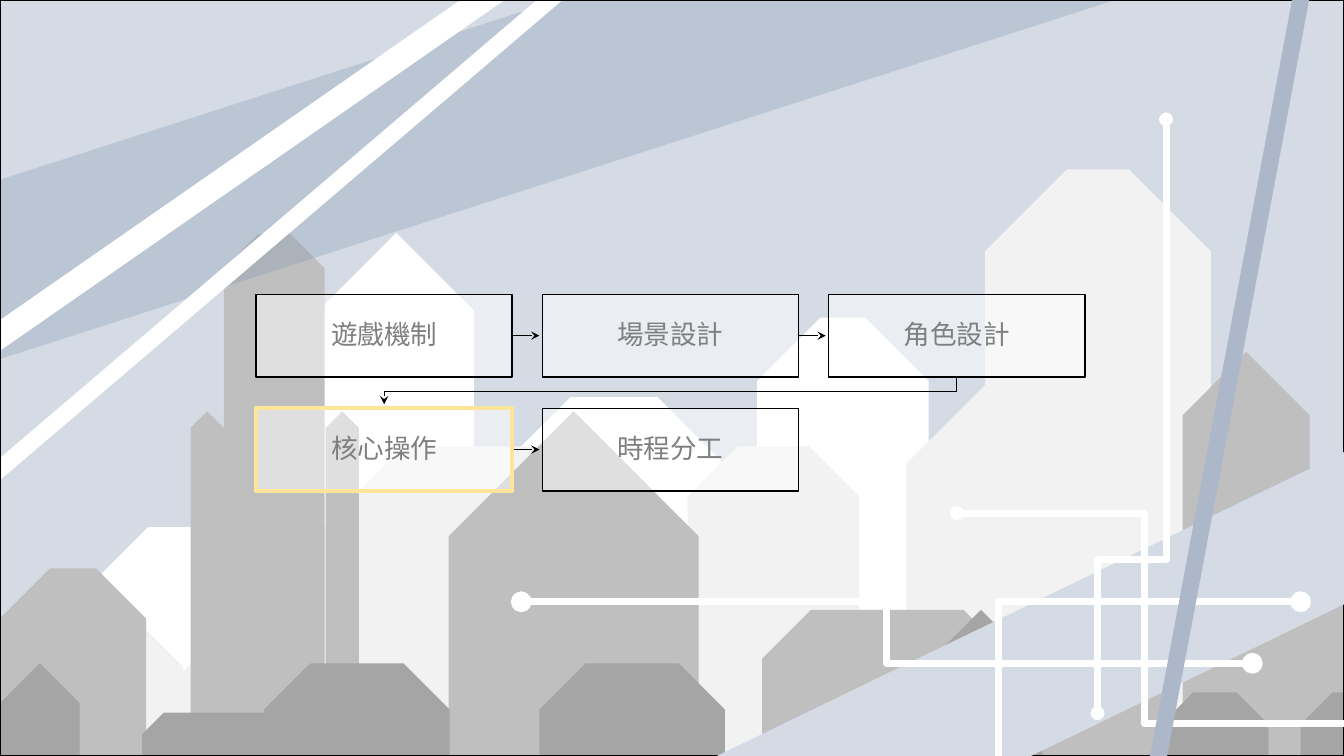
from pptx import Presentation
from pptx.dml.color import RGBColor
from pptx.enum.shapes import MSO_CONNECTOR as LINK, MSO_SHAPE as KIND
from pptx.enum.text import MSO_ANCHOR, PP_ALIGN
from pptx.oxml.ns import qn
from pptx.util import Pt
from lxml.etree import SubElement

PX = 9144
WIDE, HIGH = 1333, 750
FONT = "Noto Sans CJK TC"

WHITE = RGBColor(0xFF, 0xFF, 0xFF)
BLACK = RGBColor(0, 0, 0)
SKY = RGBColor(0xD5, 0xDB, 0xE5)
BAND = RGBColor(0x82, 0x96, 0xB0)
STEEL = RGBColor(0xAC, 0xB8, 0xCA)
PALE = RGBColor(0xF2, 0xF2, 0xF2)
SILVER = RGBColor(0xBF, 0xBF, 0xBF)
GRAY = RGBColor(0xA5, 0xA5, 0xA5)
INK = RGBColor(0x7F, 0x7F, 0x7F)
GOLD = RGBColor(0xFE, 0xE5, 0x99)

deck = Presentation()
deck.slide_width, deck.slide_height = WIDE * PX, HIGH * PX
slide = deck.slides.add_slide(deck.slide_layouts[6])


def block(kind, x, y, w, h, text="", fill=None, alpha=None, line=None,
          thick=1, adj=None, turn=0, size=19, color=INK, font=FONT):
    shape = slide.shapes.add_shape(kind, x * PX, y * PX, w * PX, h * PX)
    shape.shadow.inherit = False
    shape.rotation = turn
    if adj is not None:
        shape.adjustments[0] = adj
    if fill is None:
        shape.fill.background()
    else:
        shape.fill.solid()
        shape.fill.fore_color.rgb = fill
        if alpha:
            tint = shape._element.spPr.find(qn("a:solidFill"))[0]
            SubElement(tint, qn("a:alpha"), val=str(alpha * 1000))
    if line is None:
        shape.line.fill.background()
    else:
        shape.line.color.rgb = line
        shape.line.width = Pt(thick)
    if text:
        frame = shape.text_frame
        frame.word_wrap = True
        frame.vertical_anchor = MSO_ANCHOR.MIDDLE
        frame.margin_left = frame.margin_right = 15 * PX
        frame.margin_top = frame.margin_bottom = 15 * PX
        para = frame.paragraphs[0]
        para.alignment = PP_ALIGN.CENTER
        para.line_spacing = 0.9
        run = para.add_run()
        run.text = text
        run.font.size = Pt(size)
        run.font.name = font
        run.font.color.rgb = color
        SubElement(run.font._element, qn("a:ea"), typeface=font)
    return shape


def wire(kind, x1, y1, x2, y2, color, thick, adj=None, turn=0,
         head=None, tail=None, dot="med"):
    link = slide.shapes.add_connector(kind, x1 * PX, y1 * PX, x2 * PX, y2 * PX)
    link.line.color.rgb = color
    link.line.width = Pt(thick)
    props = link._element.spPr
    if turn:
        props.find(qn("a:xfrm")).set("rot", str(turn * 60000))
    if adj is not None:
        geom = props.find(qn("a:prstGeom"))
        SubElement(geom.find(qn("a:avLst")), qn("a:gd"), name="adj1",
                   fmla=f"val {round(adj * 100000)}")
    for tag, tip in (("a:headEnd", head), ("a:tailEnd", tail)):
        if tip:
            SubElement(props.find(qn("a:ln")), qn(tag), type=tip, w=dot, len=dot)
    SubElement(props, qn("a:effectLst"))
    return link


block(KIND.RECTANGLE, 0, 0, WIDE, HIGH, fill=SKY)

CITY = (
    (WHITE, ((1249, 618, 84, 0.5), (1139, 407, 120, 0.328),
             (751, 315, 170, 0.37), (443, 394, 332, 0.37),
             (316, 231, 154, 0.5), (91, 523, 180, 0.31))),
    (PALE, ((899, 375, 170, 0.5), (1108, 443, 144, 0.364),
            (977, 168, 224, 0.363), (682, 443, 170, 0.291),
            (311, 443, 324, 0.291), (163, 619, 180, 0.5),
            (2, 619, 180, 0.328))),
    (SILVER, ((1174, 485, 285, 0.417), (1003, 605, 154, 0.334),
              (1173, 349, 126, 0.5), (756, 605, 248, 0.334),
              (445, 408, 248, 0.5), (323, 408, 33, 0.5),
              (222, 232, 100, 0.342), (189, 408, 33, 0.5),
              (0, 564, 145, 0.342))),
    (GRAY, ((1290, 687, 219, 0.5), (1152, 687, 106, 0.5),
            (912, 605, 122, 0.5), (535, 658, 184, 0.5),
            (831, 687, 99, 0.5), (262, 658, 184, 0.5),
            (141, 707, 153, 0.5), (0, 658, 79, 0.5))),
)
for shade, row in CITY:
    for x, top, w, cut in row:
        block(KIND.SNIP_2_SAME_RECTANGLE, x, top, w, HIGH - top,
              fill=shade, adj=cut)

block(KIND.DIAGONAL_STRIPE, 0, 0, 442, 152, fill=SKY, adj=0)
block(KIND.DIAGONAL_STRIPE, 1, 0, 1105, 356, fill=BAND, alpha=30, adj=0.5)
wire(LINK.STRAIGHT, 565, -17, -9, 473, WHITE, 12)
wire(LINK.STRAIGHT, 503, -17, -9, 339, WHITE, 18)
block(KIND.RECTANGLE, 0, 0, WIDE, HIGH, line=BLACK)
block(KIND.DIAGONAL_STRIPE, 711, 448, 623, 302, fill=SKY, adj=0.5, turn=180)

TRACKS = (
    (1290, 597, 852, 777, 0.685, 0, "med"),
    (517, 597, 1242, 658, 0.5, 0, "med"),
    (828, 379, 1417, 447, 0.741, 90, "sm"),
    (949, 509, 1383, 718, 0.428, 0, "sm"),
)
for x1, y1, x2, y2, bend, turn, dot in TRACKS:
    wire(LINK.ELBOW, x1, y1, x2, y2, WHITE, 5, adj=bend, turn=turn,
         head="oval", tail="oval", dot=dot)

LEFT, TOP, BOX_W, BOX_H = 254, 292, 254, 82
STEP_X, STEP_Y, COLS = 284, 113, 3
STEPS = ("遊戲機制", "場景設計", "角色設計", "核心操作", "時程分工")
for i, step in enumerate(STEPS):
    x = LEFT + i % COLS * STEP_X
    y = TOP + i // COLS * STEP_Y
    box = block(KIND.RECTANGLE, x, y, BOX_W, BOX_H, step,
                fill=WHITE, alpha=50, line=BLACK)
    if i % COLS < COLS - 1 and i < len(STEPS) - 1:
        mid = y + BOX_H // 2
        arrow = wire(LINK.STRAIGHT, x + BOX_W, mid, x + STEP_X - 3, mid,
                     BLACK, 0.75, tail="stealth")
        arrow.begin_connect(box, 3)

wire(LINK.ELBOW, 651, 103, 679, 671, BLACK, 0.75, adj=0.55, turn=90,
     tail="stealth")
wire(LINK.STRAIGHT, 1301, -59, 1144, 777, STEEL, 12)
block(KIND.RECTANGLE, LEFT, TOP + STEP_Y, BOX_W, BOX_H, line=GOLD, thick=3)

deck.save("out.pptx")
